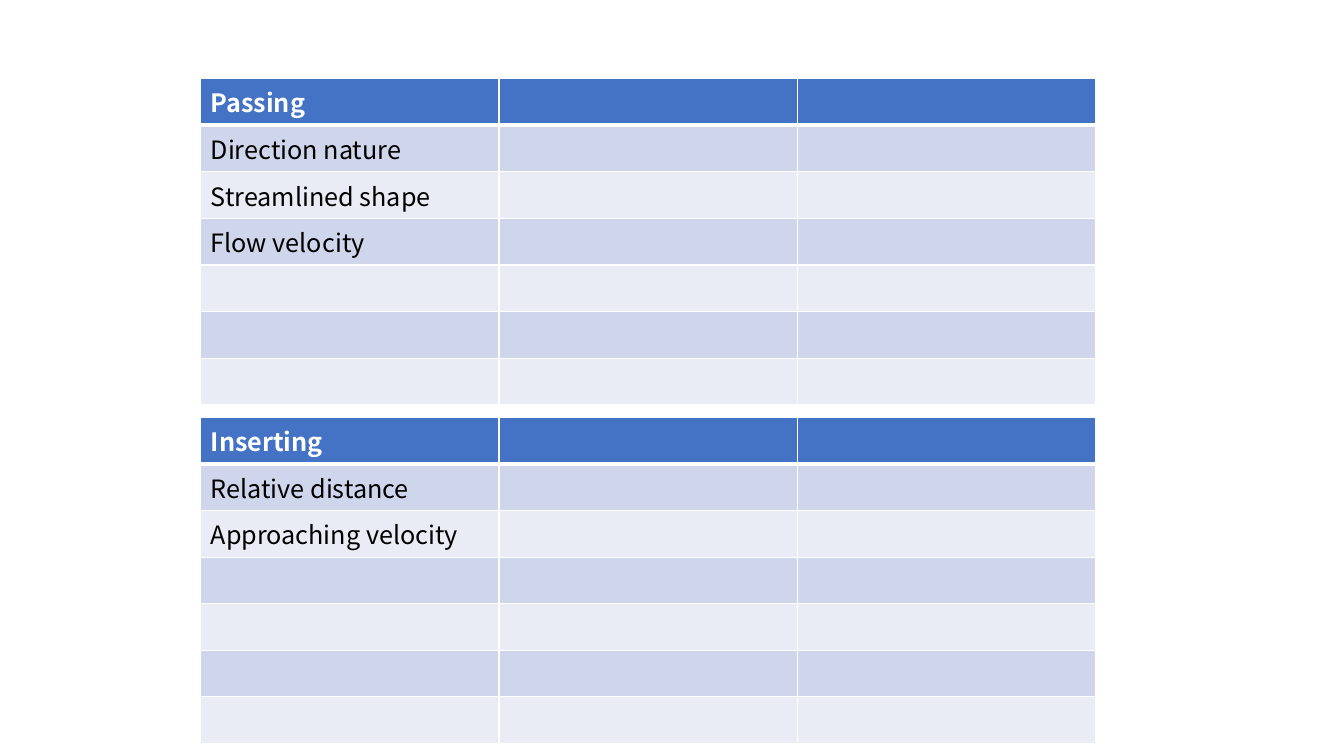
"""Build a slide with two tables of motion features, Passing and Inserting."""
from lxml.etree import SubElement
from pptx import Presentation
from pptx.dml.color import RGBColor
from pptx.oxml.ns import qn
from pptx.util import Inches, Pt

FONT = "Noto Sans CJK KR"
HEADER_FILL = "4472C4"
BAND_FILLS = ["E9EBF5", "CFD5EA"]
ROW_COUNT, COLUMN_COUNT = 7, 3
COLUMN_WIDTH, ROW_HEIGHT = 2.96, 0.46
TABLE_LEFT = 1.99
TABLES = [
    (0.78, ["Passing", "Direction nature", "Streamlined shape", "Flow velocity"]),
    (4.14, ["Inserting", "Relative distance", "Approaching velocity"]),
]


def color(value):
    return RGBColor.from_string(value)


def add_border(cell, side, points):
    line = SubElement(cell._tc.get_or_add_tcPr(), qn(f"a:ln{side}"), w=str(Pt(points)))
    fill = SubElement(line, qn("a:solidFill"))
    SubElement(fill, qn("a:srgbClr"), val="FFFFFF")


deck = Presentation()
deck.slide_width, deck.slide_height = Inches(13.33), Inches(7.5)
page = deck.slides.add_slide(deck.slide_layouts[6])

for top, labels in TABLES:
    table = page.shapes.add_table(
        ROW_COUNT, COLUMN_COUNT, Inches(TABLE_LEFT), Inches(top),
        Inches(COLUMN_WIDTH * COLUMN_COUNT), Inches(ROW_HEIGHT * ROW_COUNT),
    ).table
    for column in table.columns:
        column.width = Inches(COLUMN_WIDTH)
    for row_index, row in enumerate(table.rows):
        row.height = Inches(ROW_HEIGHT)
        is_header = row_index == 0
        for cell in row.cells:
            add_border(cell, "L", 1)
            add_border(cell, "R", 1)
            add_border(cell, "T", 3 if row_index == 1 else 1)
            add_border(cell, "B", 3 if is_header else 1)
            cell.fill.solid()
            cell.fill.fore_color.rgb = color(HEADER_FILL if is_header else BAND_FILLS[row_index % 2])
            font = cell.text_frame.paragraphs[0].font
            font.name, font.size, font.bold = FONT, Pt(18), is_header
            font.color.rgb = color("FFFFFF" if is_header else "000000")
    for row_index, label in enumerate(labels):
        table.cell(row_index, 0).text_frame.paragraphs[0].add_run().text = label

deck.save("out.pptx")
